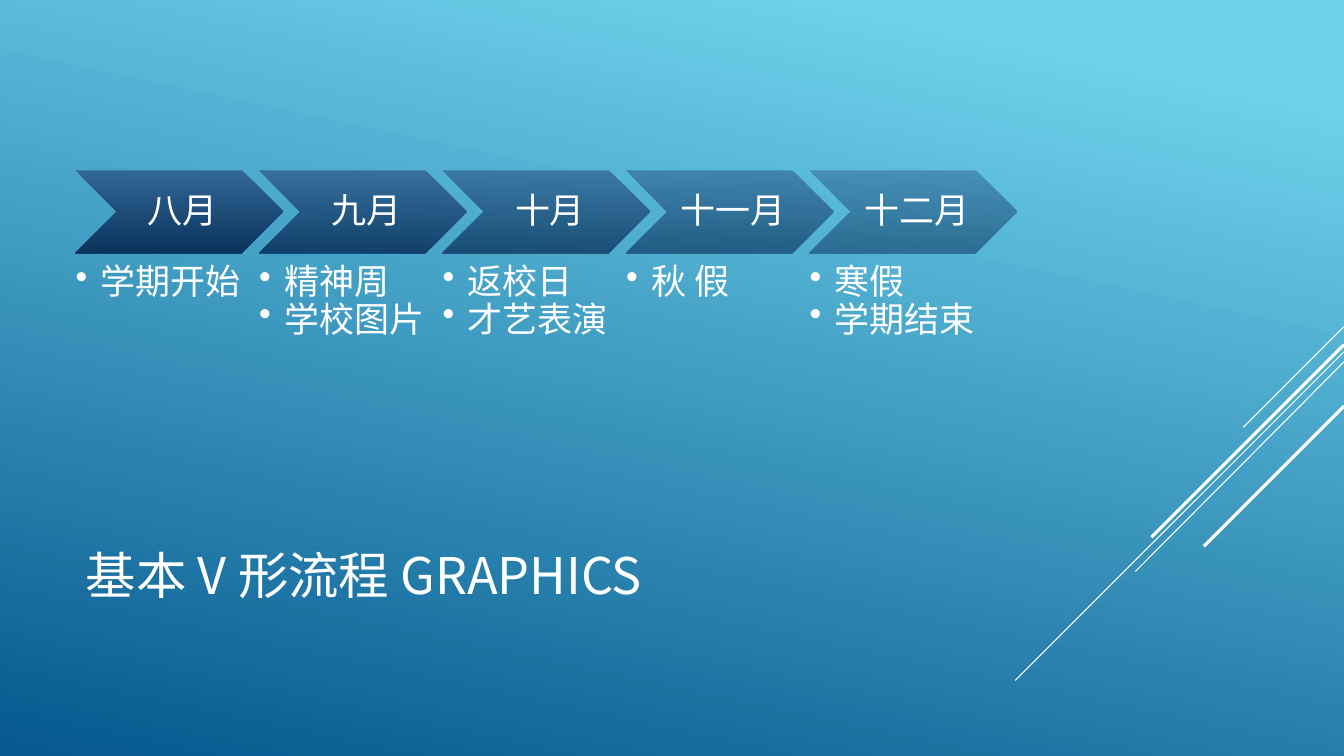
from lxml import etree
from pptx import Presentation
from pptx import util as u
from pptx.dml.color import RGBColor
from pptx.enum import shapes, text
from pptx.oxml.ns import qn

WHITE = RGBColor(0xFF, 0xFF, 0xFF)
SKY = RGBColor(0x6E, 0xD2, 0xEB)
OCEAN = RGBColor(0x06, 0x58, 0x8E)
STEEL = RGBColor(0x31, 0x61, 0x90)
NAVY = RGBColor(0x04, 0x28, 0x53)
FONT = "Noto Sans CJK SC"

LEFT, CHEVRON_TOP, BULLETS_TOP, STEP = 0.75, 1.69, 2.62, 1.82
MONTHS = [
    ("八月", ["学期开始"]),
    ("九月", ["精神周", "学校图片"]),
    ("十月", ["返校日", "才艺表演"]),
    ("十一月", ["秋 假"]),
    ("十二月", ["寒假", "学期结束"]),
]
SLIDE_RIGHT = 13.33
# start height at the right edge, horizontal reach, end height, weight
DIAGONALS = [
    (3.24, 1.0, 4.24, 0.75),
    (3.49, 3.26, 6.75, 0.75),
    (3.59, 2.07, 5.67, 0.75),
    (3.42, 1.91, 5.33, 2.25),
    (4.03, 1.39, 5.42, 2.25),
]


class Deck:
    """Holds the text style and the current slide."""

    def __init__(self, s):
        self.s = s

    def gradient(self, fill, stops, angle):
        """Apply a two-stop gradient; angle runs clockwise."""
        fill.gradient()
        fill.gradient_angle = 360 - angle
        for stop, (position, color) in zip(fill.gradient_stops, stops):
            stop.position = position
            stop.color.rgb = color

    def style(self, p, size):
        """Format every run of a paragraph."""
        for r in p.runs:
            r.font.size = u.Pt(size)
            r.font.name = FONT
            r.font.color.rgb = WHITE
            ea = etree.SubElement(r.font._element, qn("a:ea"))
            ea.set("typeface", FONT)

    def margins(self, tf, left, other):
        """Set the left inset and the three other insets."""
        tf.margin_left = u.Inches(left)
        tf.margin_top = tf.margin_right = tf.margin_bottom = u.Inches(other)

    def title(self, words, left, top, width, height):
        """Fill, place and format the title placeholder."""
        sp = self.s.shapes.title
        sp.left, sp.top = u.Inches(left), u.Inches(top)
        sp.width, sp.height = u.Inches(width), u.Inches(height)
        tf = sp.text_frame
        tf.text = words
        tf.vertical_anchor = text.MSO_ANCHOR.MIDDLE
        p = tf.paragraphs[0]
        p.alignment = text.PP_ALIGN.LEFT
        p.line_spacing = 0.9
        self.style(p, 36)
        p.runs[0].font._element.set("cap", "all")

    def line(self, x1, y1, x2, y2, weight):
        """Draw a straight white line without shadow."""
        cx = self.s.shapes.add_connector(
            shapes.MSO_CONNECTOR.STRAIGHT,
            u.Inches(x1), u.Inches(y1), u.Inches(x2), u.Inches(y2))
        cx.line.color.rgb = WHITE
        cx.line.width = u.Pt(weight)
        etree.SubElement(cx._element.spPr, qn("a:effectLst"))

    def chevron(self, label, left, top, opacity):
        """Draw a labelled chevron with a translucent gradient."""
        sp = self.s.shapes.add_shape(
            shapes.MSO_SHAPE.CHEVRON,
            u.Inches(left), u.Inches(top), u.Inches(2.06), u.Inches(0.82))
        sp.shadow.inherit = False
        sp.line.fill.background()
        self.gradient(sp.fill, [(0, STEEL), (1, NAVY)], 90)
        for color in sp._element.spPr.iter(qn("a:srgbClr")):
            etree.SubElement(color, qn("a:alpha")).set("val", str(opacity * 1000))
        tf = sp.text_frame
        tf.text = label
        tf.vertical_anchor = text.MSO_ANCHOR.MIDDLE
        self.margins(tf, 0.11, 0.04)
        p = tf.paragraphs[0]
        p.alignment = text.PP_ALIGN.CENTER
        p.line_spacing = 0.9
        self.style(p, 25)

    def bullets(self, items, left, top):
        """Add a bulleted list of events."""
        sp = self.s.shapes.add_textbox(
            u.Inches(left), u.Inches(top), u.Inches(1.64), u.Inches(1.14))
        tf = sp.text_frame
        tf.word_wrap = True
        tf.text = "\n".join(items)
        self.margins(tf, 0, 0)
        for p in tf.paragraphs:
            p.line_spacing = 0.9
            pPr = p._p.get_or_add_pPr()
            pPr.set("marL", str(u.Inches(0.25)))
            pPr.set("indent", str(-u.Inches(0.25)))
            etree.SubElement(pPr, qn("a:buChar")).set("char", "•")
            self.style(p, 25)


def main():
    """Build the month timeline slide."""
    prs = Presentation()
    prs.slide_width, prs.slide_height = u.Inches(SLIDE_RIGHT), u.Inches(7.5)
    s = prs.slides.add_slide(prs.slide_layouts[5])
    deck = Deck(s)
    deck.gradient(s.background.fill, [(0.1, SKY), (1, OCEAN)], 102)
    for y1, reach, y2, weight in DIAGONALS:
        deck.line(SLIDE_RIGHT, y1, SLIDE_RIGHT - reach, y2, weight)
    deck.title("基本 V 形流程 GRAPHICS", LEFT, 4.91, 9.33, 1.65)
    for i, (month, events) in enumerate(MONTHS):
        left = LEFT + i * STEP
        deck.chevron(month, left, CHEVRON_TOP, 90 - 10 * i)
        deck.bullets(events, left, BULLETS_TOP)
    prs.save("out.pptx")


main()
